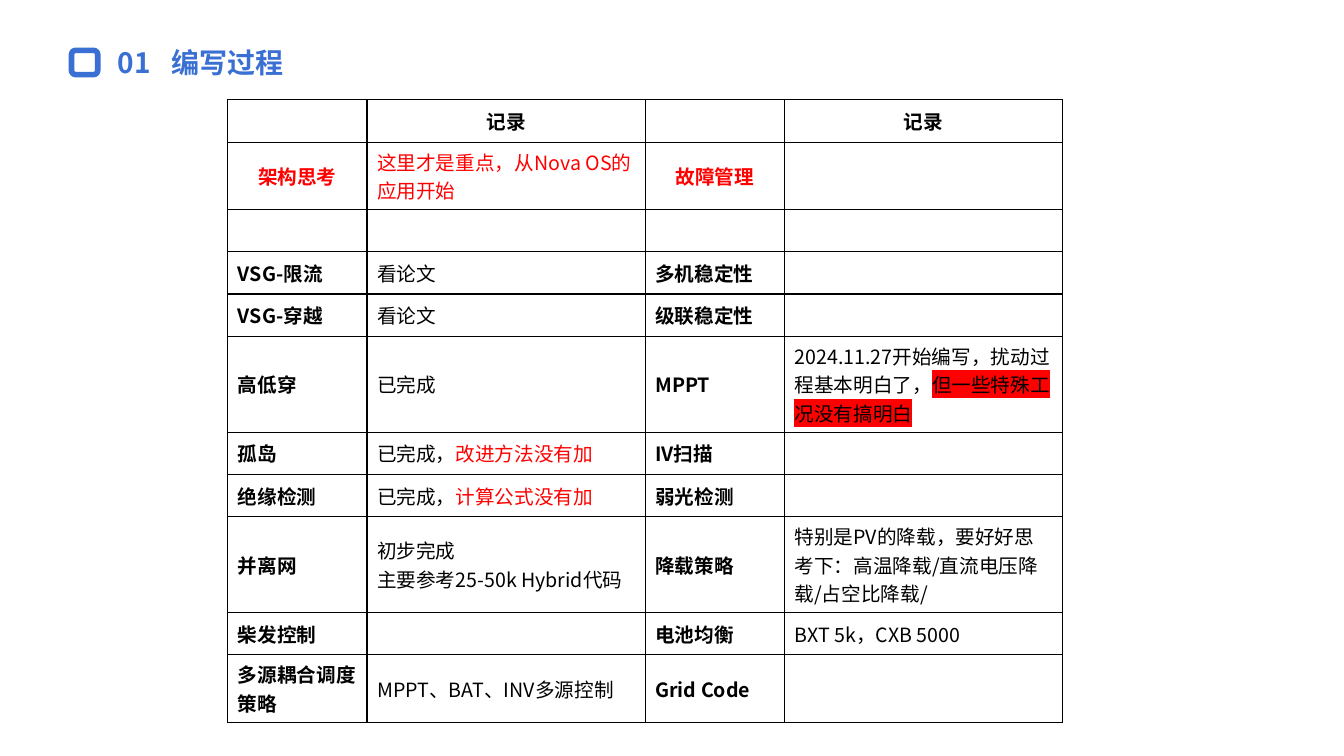
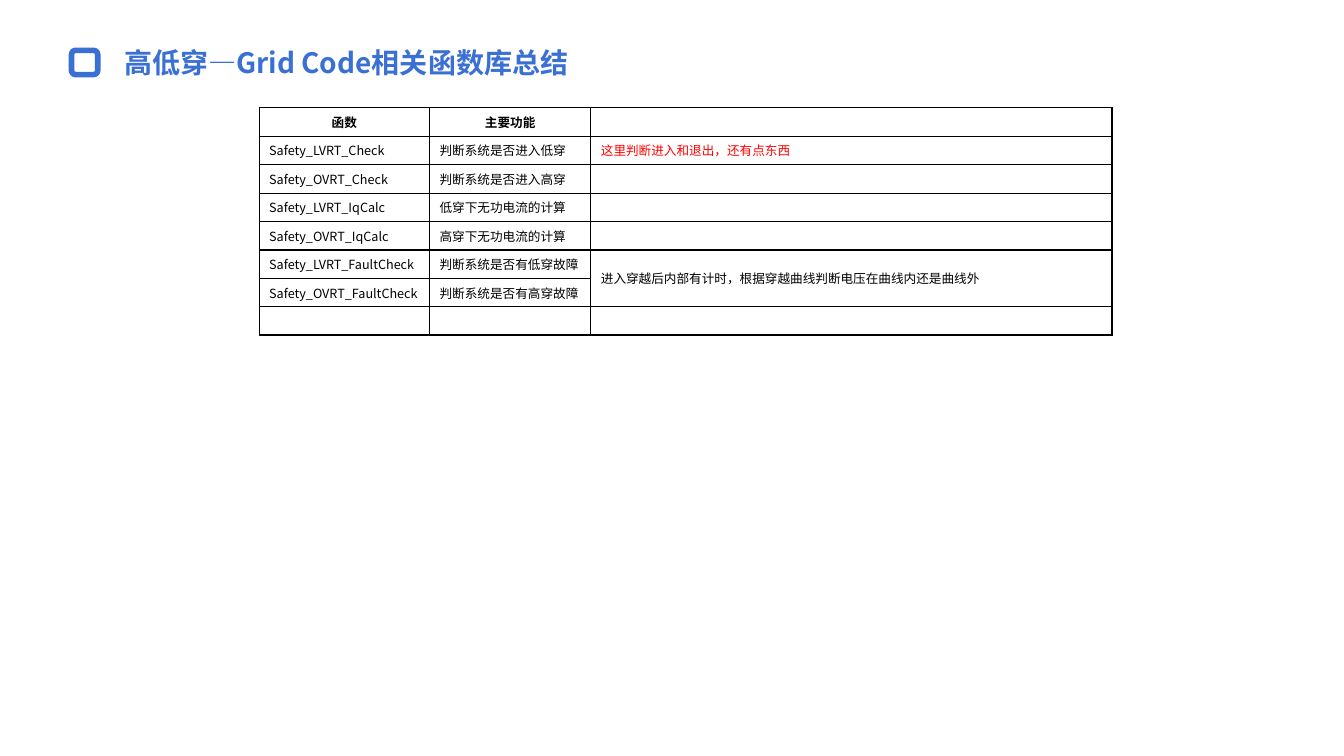
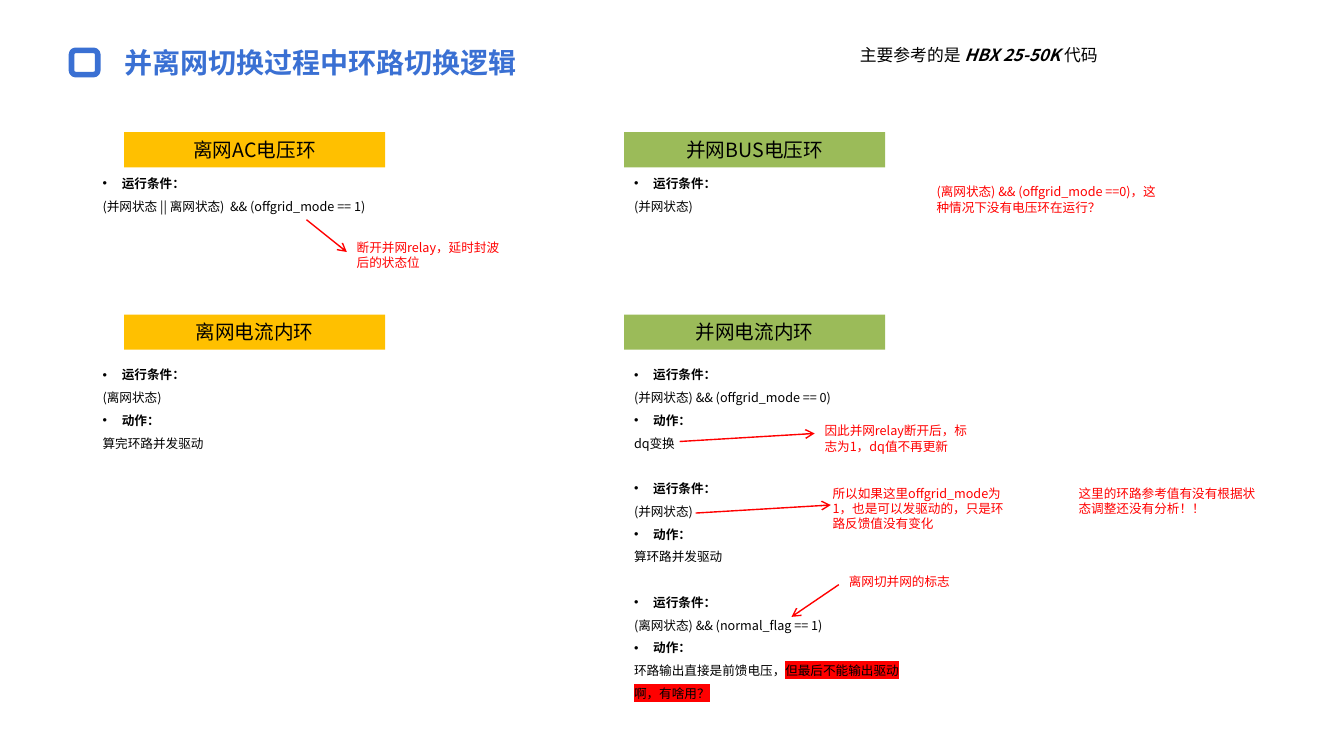
from lxml import etree
from pptx import Presentation
from pptx import util as u
from pptx.dml import color
from pptx.enum import shapes, text
from pptx.oxml import ns

FONT = "Noto Sans CJK SC"
BLUE, RED, BLACK = "3A70D3", "FF0000", "000000"
AMBER, GREEN = "FFC000", "9BBB59"
LOOSE = 1.5
ALERT = {"color": RED}
MARKED = {"highlight": RED}

PROGRESS = [
    ["", "记录", "", "记录"],
    [[[("架构思考", ALERT)]], [[("这里才是重点，从Nova OS的应用开始", ALERT)]], [[("故障管理", ALERT)]], ""],
    ["", "", "", ""],
    ["VSG-限流", "看论文", "多机稳定性", ""],
    ["VSG-穿越", "看论文", "级联稳定性", ""],
    ["高低穿", "已完成", "MPPT",
     [["2024.11.27开始编写，扰动过程基本明白了，", ("但一些特殊工况没有搞明白", MARKED)]]],
    ["孤岛", [["已完成，", ("改进方法没有加", ALERT)]], "IV扫描", ""],
    ["绝缘检测", [["已完成，", ("计算公式没有加", ALERT)]], "弱光检测", ""],
    ["并离网", ["初步完成", "主要参考25-50k Hybrid代码"], "降载策略",
     "特别是PV的降载，要好好思考下：高温降载/直流电压降载/占空比降载/"],
    ["柴发控制", "", "电池均衡", "BXT 5k，CXB 5000"],
    ["多源耦合调度策略", "MPPT、BAT、INV多源控制", "Grid Code", ""],
]
FUNCTIONS = [
    ["函数", "主要功能", ""],
    ["Safety_LVRT_Check", "判断系统是否进入低穿", [[("这里判断进入和退出，还有点东西", ALERT)]]],
    ["Safety_OVRT_Check", "判断系统是否进入高穿", ""],
    ["Safety_LVRT_IqCalc", "低穿下无功电流的计算", ""],
    ["Safety_OVRT_IqCalc", "高穿下无功电流的计算", ""],
    ["Safety_LVRT_FaultCheck", "判断系统是否有低穿故障",
     "进入穿越后内部有计时，根据穿越曲线判断电压在曲线内还是曲线外"],
    ["Safety_OVRT_FaultCheck", "判断系统是否有高穿故障", ""],
    ["", "", ""],
]
CONDITION, ACTION = "运行条件：", "动作："
LOOPS = [
    ("离网AC电压环", AMBER, 1.23, 1.31),
    ("离网电流内环", AMBER, 1.23, 3.12),
    ("并网BUS电压环", GREEN, 6.19, 1.31),
    ("并网电流内环", GREEN, 6.19, 3.12),
]
LOGIC = [
    (0.92, 1.62, 0.53, [CONDITION, "(并网状态 || 离网状态)  && (offgrid_mode == 1)"]),
    (0.92, 3.52, 1.02, [CONDITION, "(离网状态)", ACTION, "算完环路并发驱动"]),
    (6.19, 1.62, 0.53, [CONDITION, "(并网状态)"]),
    (6.19, 3.52, 3.47, [
        CONDITION, "(并网状态) && (offgrid_mode == 0)", ACTION, "dq变换",
        CONDITION, "(并网状态)", ACTION, "算环路并发驱动",
        CONDITION, "(离网状态) && (normal_flag == 1)", ACTION,
        ["环路输出直接是前馈电压，", ("但最后不能输出驱动啊，有啥用？", MARKED)]]),
]
REMARKS = [
    ("断开并网relay，延时封波后的状态位", 3.44, 2.33, 1.63, 0.34),
    ("因此并网relay断开后，标志为1，dq值不再更新", 8.08, 4.15, 1.63, 0.34),
    ("离网切并网的标志", 8.32, 5.64, 1.32, 0.29),
    ("所以如果这里offgrid_mode为1，也是可以发驱动的，只是环路反馈值没有变化", 8.16, 4.77, 1.97, 0.53),
    ("(离网状态) && (offgrid_mode ==0)，这种情况下没有电压环在运行？", 9.19, 1.78, 2.42, 0.34),
    ("这里的环路参考值有没有根据状态调整还没有分析！！", 10.6, 4.77, 1.97, 0.53),
]
ARROWS = [
    (3.04, 2.18, 3.44, 2.5),
    (6.74, 4.38, 8.08, 4.3),
    (8.32, 5.8, 7.85, 6.12),
    (6.9, 5.09, 8.24, 5.01),
]


def rgb(value):
    return color.RGBColor.from_string(value)


def add_xml(parent, tag, **attributes):
    return etree.SubElement(parent, ns.qn(tag), attributes)


def box(left, top, width, height):
    return [u.Inches(value) for value in (left, top, width, height)]


def format_run(run, size, bold=False, italic=False, color=BLACK, highlight=None):
    font = run.font
    font.size, font.bold, font.italic = u.Pt(size), bold, italic
    font.color.rgb = rgb(color)
    properties = font._element
    if highlight:
        add_xml(add_xml(properties, "a:highlight"), "a:srgbClr", val=highlight)
    font.name = FONT
    add_xml(properties, "a:ea", typeface=FONT)


def write(frame, content, size, align=text.PP_ALIGN.LEFT, spacing=1.0, **style):
    frame.word_wrap = True
    paragraphs = [content] if isinstance(content, str) else content
    for index, runs in enumerate(paragraphs):
        paragraph = frame.paragraphs[0] if index == 0 else frame.add_paragraph()
        paragraph.alignment, paragraph.line_spacing = align, spacing
        paragraph.space_before = u.Pt(0)
        for part in [runs] if isinstance(runs, str) else runs:
            words, extra = (part, {}) if isinstance(part, str) else part
            if words:
                run = paragraph.add_run()
                run.text = words
                format_run(run, size, **{**style, **extra})
            else:
                add_xml(paragraph._p, "a:endParaRPr", sz=str(size * 100))


def add_text(slide, content, left, top, width, height, size, **style):
    shape = slide.shapes.add_textbox(*box(left, top, width, height))
    write(shape.text_frame, content, size, **style)
    return shape


def style_heading(shape, words):
    frame = shape.text_frame
    frame.auto_size = text.MSO_AUTO_SIZE.NONE
    frame.vertical_anchor = text.MSO_ANCHOR.TOP
    frame.margin_top, frame.margin_bottom = u.Inches(0.05), 0
    write(frame, words, 20, bold=True, color=BLUE)


def add_slide(presentation, title, left, width):
    slide = presentation.slides.add_slide(presentation.slide_layouts[5])
    mark = slide.shapes.add_shape(shapes.MSO_SHAPE.ROUNDED_RECTANGLE, *box(0.71, 0.5, 0.26, 0.24))
    mark.shadow.inherit = False
    mark.fill.background()
    mark.line.color.rgb, mark.line.width = rgb(BLUE), u.Pt(4)
    heading = slide.shapes.title
    heading.left, heading.top, heading.width, heading.height = box(left, 0.4, width, 0.35)
    style_heading(heading, title)
    return slide


def add_borders(cell):
    properties = cell._tc.get_or_add_tcPr()
    for side in ("a:lnL", "a:lnR", "a:lnT", "a:lnB"):
        line = add_xml(properties, side, w=str(u.Pt(1)))
        add_xml(add_xml(line, "a:solidFill"), "a:srgbClr", val=BLACK)


def add_grid(slide, rows, left, top, widths, row_height, size, is_bold, is_centred):
    area = box(left, top, sum(widths), row_height * len(rows))
    table = slide.shapes.add_table(len(rows), len(widths), *area).table
    table.first_row = table.horz_banding = False
    for column, width in zip(table.columns, widths):
        column.width = u.Inches(width)
    for row_index, row in enumerate(rows):
        table.rows[row_index].height = u.Inches(row_height)
        for column_index, content in enumerate(row):
            cell = table.cell(row_index, column_index)
            cell.vertical_anchor = text.MSO_ANCHOR.MIDDLE
            add_borders(cell)
            cell.fill.background()
            centred = is_centred(row_index, column_index)
            write(cell.text_frame, content, size, bold=is_bold(row_index, column_index),
                  align=text.PP_ALIGN.CENTER if centred else text.PP_ALIGN.LEFT)
    return table


def add_loop(slide, words, fill, left, top):
    shape = slide.shapes.add_shape(shapes.MSO_SHAPE.RECTANGLE, *box(left, top, 2.59, 0.35))
    shape.shadow.inherit = False
    shape.fill.solid()
    shape.fill.fore_color.rgb = rgb(fill)
    shape.line.fill.background()
    shape.text_frame.vertical_anchor = text.MSO_ANCHOR.MIDDLE
    write(shape.text_frame, words, 14, align=text.PP_ALIGN.CENTER)


def add_logic(slide, left, top, height, lines):
    labels = (CONDITION, ACTION)
    content = [[(line, {"bold": True})] if line in labels else line for line in lines]
    shape = add_text(slide, content, left, top, 2.93, height, 9, spacing=LOOSE)
    for index, (line, paragraph) in enumerate(zip(lines, shape.text_frame.paragraphs)):
        if line == CONDITION and index:
            paragraph.space_before = u.Pt(16.2)
        if line in labels:
            properties = paragraph._p.get_or_add_pPr()
            properties.set("marL", str(u.Inches(0.19)))
            properties.set("indent", str(-u.Inches(0.19)))
            add_xml(properties, "a:buFont", typeface="Arial")
            add_xml(properties, "a:buChar", char="•")


def add_arrow(slide, *ends):
    connector = slide.shapes.add_connector(shapes.MSO_CONNECTOR.STRAIGHT, *box(*ends))
    connector.line.color.rgb, connector.line.width = rgb(RED), u.Pt(1)
    add_xml(connector.line._get_or_add_ln(), "a:tailEnd", type="arrow")
    add_xml(connector._element.spPr, "a:effectLst")


def build_progress(presentation):
    slide = add_slide(presentation, "编写过程", 1.6, 3.56)
    number = slide.shapes.add_textbox(*box(1.07, 0.4, 0.63, 0.35))
    style_heading(number, "01")
    add_grid(slide, PROGRESS, 2.26, 0.99, [1.38, 2.76] * 2, 0.42, 14,
             lambda row, column: row == 0 or column % 2 == 0,
             lambda row, column: row == 0 or (row == 1 and column % 2 == 0))


def build_functions(presentation):
    slide = add_slide(presentation, "高低穿—Grid Code相关函数库总结", 1.13, 8.22)
    table = add_grid(slide, FUNCTIONS, 2.57, 1.07, [1.69, 1.6, 5.17], 0.28, 9,
                     lambda row, column: row == 0, lambda row, column: row == 0)
    table.cell(5, 2).merge(table.cell(6, 2))


def build_switching(presentation):
    slide = add_slide(presentation, "并离网切换过程中环路切换逻辑", 1.13, 6.91)
    reference = ["主要参考的是 ", ("HBX 25-50K ", {"bold": True, "italic": True}), "代码"]
    add_text(slide, [reference], 8.43, 0.39, 2.85, 0.31, 12)
    for loop in LOOPS:
        add_loop(slide, *loop)
    for logic in LOGIC:
        add_logic(slide, *logic)
    for remark in REMARKS:
        add_text(slide, *remark, 9, color=RED)
    for arrow in ARROWS:
        add_arrow(slide, *arrow)


def main():
    presentation = Presentation()
    presentation.slide_width, presentation.slide_height = u.Inches(13.33), u.Inches(7.5)
    for build in (build_progress, build_functions, build_switching):
        build(presentation)
    presentation.save("out.pptx")


if __name__ == "__main__":
    main()
